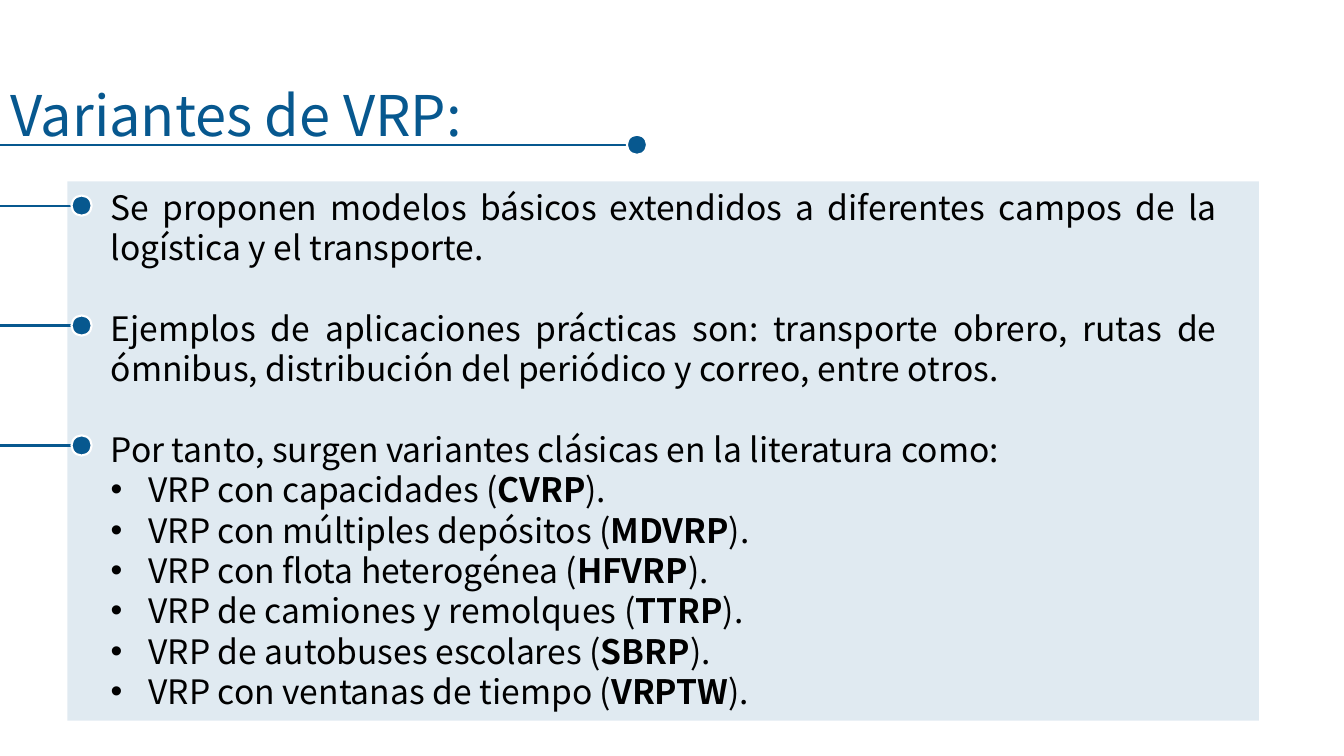
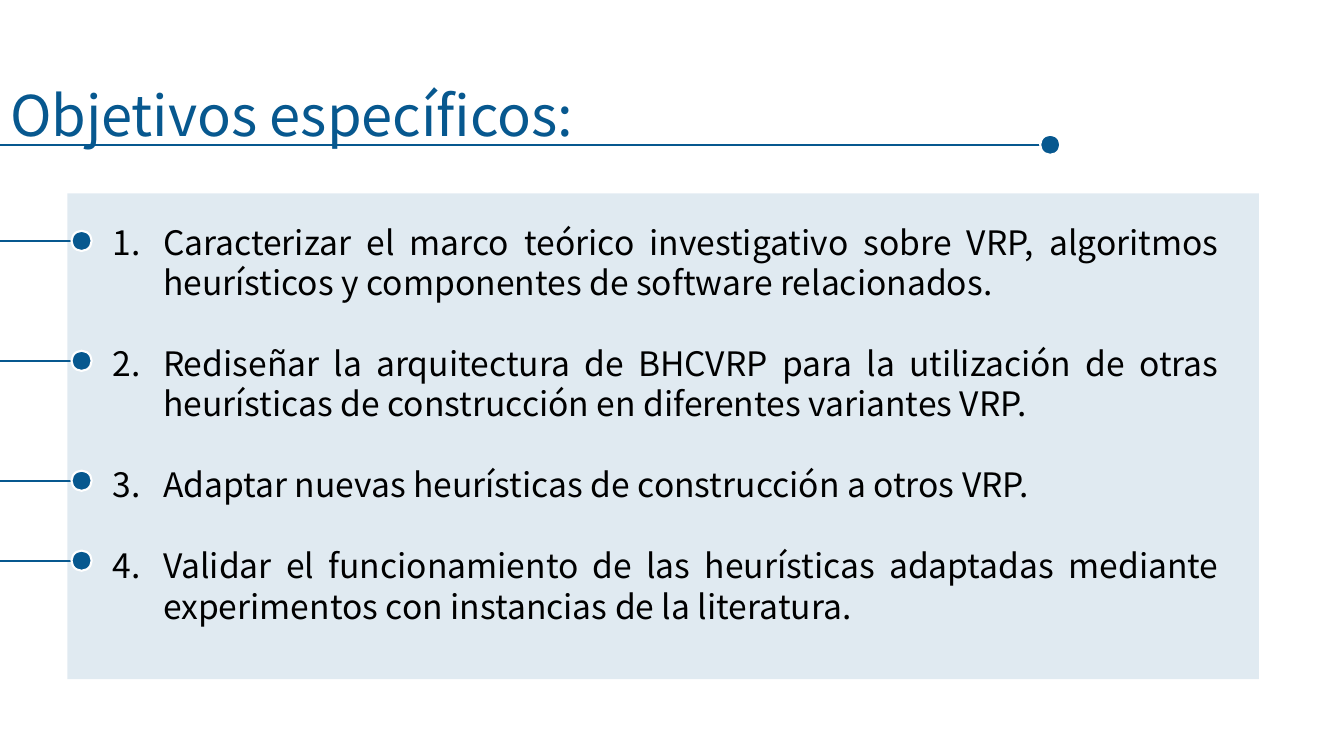
from lxml.etree import SubElement
from pptx import Presentation
from pptx.dml.color import RGBColor
from pptx.enum.shapes import MSO_CONNECTOR as CONN, MSO_SHAPE as SHAPE
from pptx.enum.text import MSO_ANCHOR as ANCHOR, PP_ALIGN as ALIGN
from pptx.oxml.ns import qn
from pptx.util import Pt

BLUE = RGBColor(0x07, 0x58, 0x8F)
BLACK = RGBColor(0, 0, 0)
WHITE = RGBColor(0xFF, 0xFF, 0xFF)
FONT = "Noto Sans CJK JP"

LINE_PITCH = 28.55    # distance between marker rows, per text line
FIRST_MARKER = 17.3   # from the top of the text box to its first marker
PARA_GAP = 29
MARKER_X = 58.3


class Deck:
    """Shared style and the slide being built."""

    def __init__(self):
        self.prs = Presentation()
        self.prs.slide_width, self.prs.slide_height = Pt(960), Pt(540)
        self.s = None

    def style(self, r, size, color, bold=False):
        r.font.name, r.font.size, r.font.bold = FONT, Pt(size), bold
        r.font.color.rgb = color

    def slide(self, title, rule_end):
        self.s = self.prs.slides.add_slide(self.prs.slide_layouts[5])
        sp = self.s.shapes.title
        sp.left, sp.top, sp.width, sp.height = Pt(0), Pt(54), Pt(600), Pt(55.5)
        tf = sp.text_frame
        tf.text = title
        tf.vertical_anchor = ANCHOR.TOP
        p = tf.paragraphs[0]
        p.alignment = ALIGN.LEFT
        self.style(p.runs[0], 40, BLUE)
        self.marker(rule_end, 103.4)

    def marker(self, x, y, d=14.4):
        """Line from the left slide edge ending in a dot centred on (x, y)."""
        shapes = self.s.shapes.add_group_shape().shapes
        line = shapes.add_connector(CONN.STRAIGHT, Pt(0), Pt(y), Pt(x), Pt(y))
        line.line.color.rgb, line.line.width = BLUE, Pt(1.5)
        SubElement(line._element.spPr, qn("a:effectLst"))
        dot = shapes.add_shape(SHAPE.OVAL, Pt(x - d / 2), Pt(y - d / 2), Pt(d), Pt(d))
        dot.shadow.inherit = False
        dot.fill.solid()
        dot.fill.fore_color.rgb = BLUE
        dot.line.color.rgb, dot.line.width = WHITE, Pt(1.5)

    def panel(self, top, height):
        sp = self.s.shapes.add_shape(SHAPE.RECTANGLE, Pt(48.2), Pt(top), Pt(851), Pt(height))
        sp.shadow.inherit = False
        sp.fill.solid()
        sp.fill.fore_color.rgb = BLUE
        color = sp._element.spPr.find(qn("a:solidFill"))[0]
        SubElement(color, qn("a:alpha")).set("val", "12000")
        sp.line.fill.background()

    def bullet(self, p, kind, indent):
        pPr = p._p.get_or_add_pPr()
        pPr.set("marL", str(Pt(indent)))
        pPr.set("indent", str(-Pt(indent)))
        if kind == "number":
            SubElement(pPr, qn("a:buFont")).set("typeface", "+mj-lt")
            SubElement(pPr, qn("a:buAutoNum")).set("type", "arabicPeriod")
        else:
            SubElement(pPr, qn("a:buFont")).set("typeface", "Arial")
            SubElement(pPr, qn("a:buChar")).set("char", "•")

    def body(self, left, top, height, items, marker_lines):
        """Items are (text, bullet kind); parts between asterisks are bold."""
        sp = self.s.shapes.add_textbox(Pt(left), Pt(top), Pt(804.2), Pt(height))
        tf = sp.text_frame
        tf.word_wrap = True
        for i, (text, kind) in enumerate(items):
            p = tf.paragraphs[0] if i == 0 else tf.add_paragraph()
            p.alignment = ALIGN.JUSTIFY
            if i and kind != "dot":
                p.space_before = Pt(PARA_GAP)
            if kind:
                self.bullet(p, kind, 36 if kind == "number" else 27)
            for n, part in enumerate(text.split("*")):
                r = p.add_run()
                r.text = part
                self.style(r, 24, BLACK, bold=n % 2 == 1)
        for n in marker_lines:
            self.marker(MARKER_X, top + FIRST_MARKER + n * LINE_PITCH)


VARIANTS = [
    ("con capacidades", "CVRP"),
    ("con múltiples depósitos", "MDVRP"),
    ("con flota heterogénea", "HFVRP"),
    ("de camiones y remolques", "TTRP"),
    ("de autobuses escolares", "SBRP"),
    ("con ventanas de tiempo", "VRPTW"),
]
INTRO = [
    "Se proponen modelos básicos extendidos a diferentes campos de la logística y el transporte.",
    "Ejemplos de aplicaciones prácticas son: transporte obrero, rutas de ómnibus, "
    "distribución del periódico y correo, entre otros.",
    "Por tanto, surgen variantes clásicas en la literatura como:",
]
GOALS = [
    "Caracterizar el marco teórico investigativo sobre VRP, algoritmos heurísticos "
    "y componentes de software relacionados.",
    "Rediseñar la arquitectura de BHCVRP para la utilización de otras heurísticas "
    "de construcción en diferentes variantes VRP.",
    "Adaptar nuevas heurísticas de construcción a otros VRP.",
    "Validar el funcionamiento de las heurísticas adaptadas mediante experimentos "
    "con instancias de la literatura.",
]


def main():
    deck = Deck()

    # VRP variants
    deck.slide("Variantes de VRP:", 455)
    deck.panel(129.6, 385.2)
    items = [(text, None) for text in INTRO]
    items += [(f"VRP {name} (*{code}*).", "dot") for name, code in VARIANTS]
    deck.body(72, 129.6, 385.2, items, (0, 3, 6))

    # Specific goals
    deck.slide("Objetivos específicos:", 750.2)
    deck.panel(138.2, 347)
    deck.body(73.4, 154.8, 298, [(text, "number") for text in GOALS], (0, 3, 6, 8))

    deck.prs.save("out.pptx")


if __name__ == "__main__":
    main()
